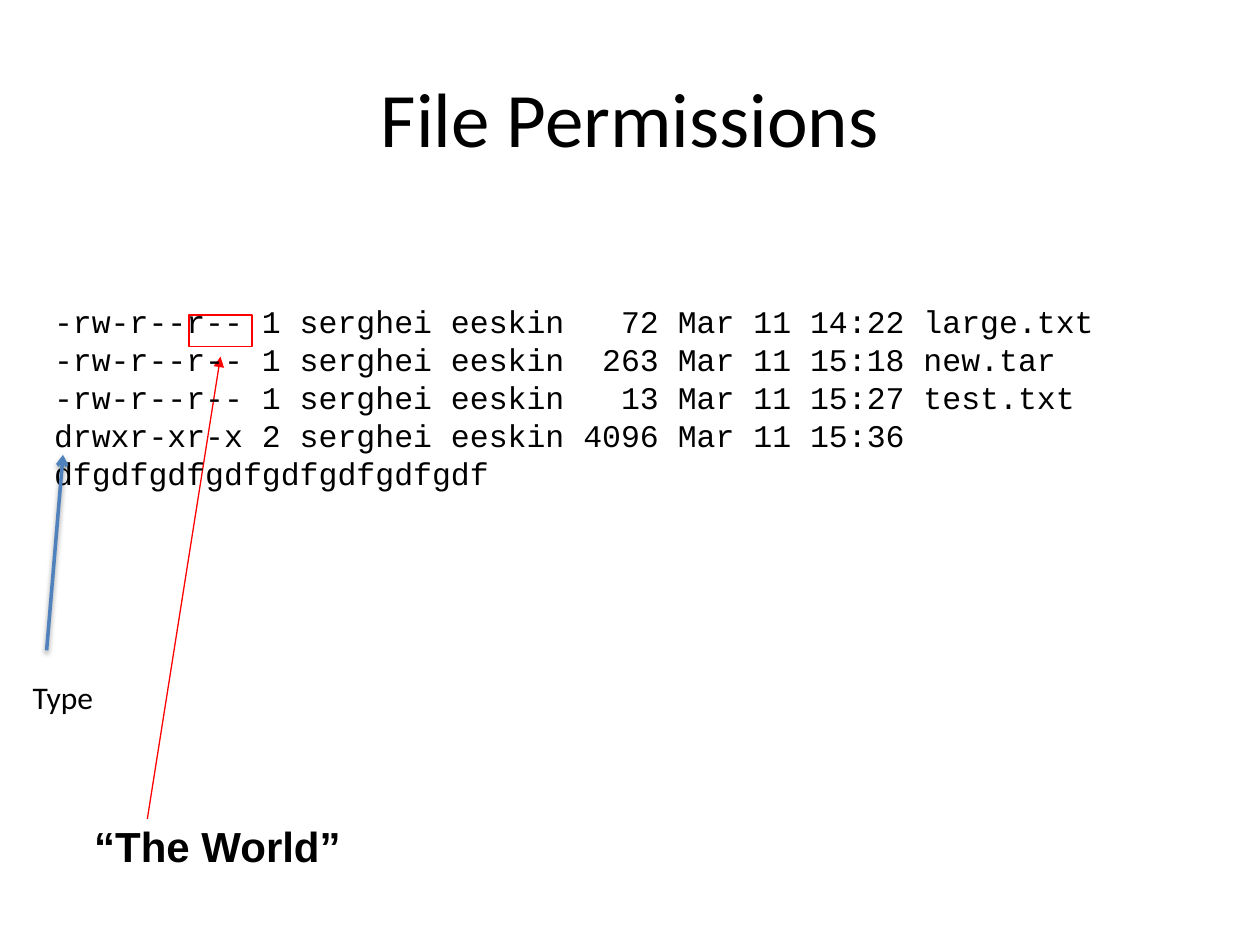
from lxml import etree
from pptx import Presentation
from pptx import util as u
from pptx.dml.color import RGBColor
from pptx.enum import shapes as sh, text as tx
from pptx.oxml import ns

BLACK = RGBColor(0, 0, 0)
RED = RGBColor(0xFF, 0, 0)
BLUE = RGBColor(0x4F, 0x81, 0xBD)

FILES = [
    "-rw-r--r-- 1 serghei eeskin   72 Mar 11 14:22 large.txt",
    "-rw-r--r-- 1 serghei eeskin  263 Mar 11 15:18 new.tar",
    "-rw-r--r-- 1 serghei eeskin   13 Mar 11 15:27 test.txt",
    "drwxr-xr-x 2 serghei eeskin 4096 Mar 11 15:36 dfgdfgdfgdfgdfgdfgdfgdf",
]


def style(frame, face, size, bold=False):
    for para in frame.paragraphs:
        for run in para.runs:
            font = run.font
            font.name, font.size, font.bold = face, u.Pt(size), bold
            font.color.rgb = BLACK


def write(slide, box, words, face, size, bold=False, wrap=False):
    frame = slide.shapes.add_textbox(*map(u.Cm, box)).text_frame
    frame.word_wrap = wrap
    frame.auto_size = tx.MSO_AUTO_SIZE.SHAPE_TO_FIT_TEXT
    frame.text = words
    style(frame, face, size, bold)


def arrow(slide, start, end, color, width, head, shade=False):
    line = slide.shapes.add_connector(
        sh.MSO_CONNECTOR.STRAIGHT, *map(u.Cm, start + end))
    line.line.color.rgb = color
    line.line.width = u.Pt(width)
    tip = etree.SubElement(line.line._get_or_add_ln(), ns.qn("a:tailEnd"))
    tip.set("type", head)
    fx = etree.SubElement(line._element.spPr, ns.qn("a:effectLst"))
    if shade:
        cast = etree.SubElement(
            fx, ns.qn("a:outerShdw"), blurRad=str(u.Pt(3.1)),
            dist=str(u.Pt(1.6)), dir="5400000", rotWithShape="0")
        tone = etree.SubElement(cast, ns.qn("a:srgbClr"), val=str(BLACK))
        etree.SubElement(tone, ns.qn("a:alpha"), val="38000")


def head(slide, box):
    title = slide.shapes.title
    title.left, title.top, title.width, title.height = map(u.Cm, box)
    frame = title.text_frame
    frame.text = "File Permissions"
    frame.vertical_anchor = tx.MSO_ANCHOR.MIDDLE
    frame.paragraphs[0].alignment = tx.PP_ALIGN.CENTER
    style(frame, "Calibri", 44)


def world(slide, box):
    x, y, w, h = box
    mark = slide.shapes.add_shape(
        sh.MSO_SHAPE.RECTANGLE, *map(u.Cm, box))
    mark.shadow.inherit = False
    mark.fill.background()
    mark.line.color.rgb = RED
    mark.line.width = u.Pt(0.75)
    arrow(slide, (x - 0.84, y + 10.16), (x + w / 2, y + h + 0.2),
          RED, 0.75, "triangle")
    write(slide, (x - 2.16, y + 10.06, 5.49, 1.27),
          "“The World”", "Arial", 24, bold=True)


def listing(slide, box):
    write(slide, box, "\n".join(FILES), "Courier New", 18, wrap=True)


def kind(slide, box):
    x, y, w, h = box
    arrow(slide, (x + 0.53, y - 0.43), (x + 0.86, y - 4.37),
          BLUE, 2, "arrow", shade=True)
    write(slide, box, "Type", "Calibri", 18)


def main():
    deck = Presentation()
    deck.slide_width, deck.slide_height = u.Cm(25.4), u.Cm(19.05)
    slide = deck.slides.add_slide(deck.slide_layouts[5])
    head(slide, (1.27, 0.76, 22.86, 3.18))
    world(slide, (3.81, 6.35, 1.27, 0.64))
    listing(slide, (0.84, 5.97, 23.67, 4.88))
    kind(slide, (0.41, 13.54, 1.78, 1.02))
    deck.save("out.pptx")


if __name__ == "__main__":
    main()
